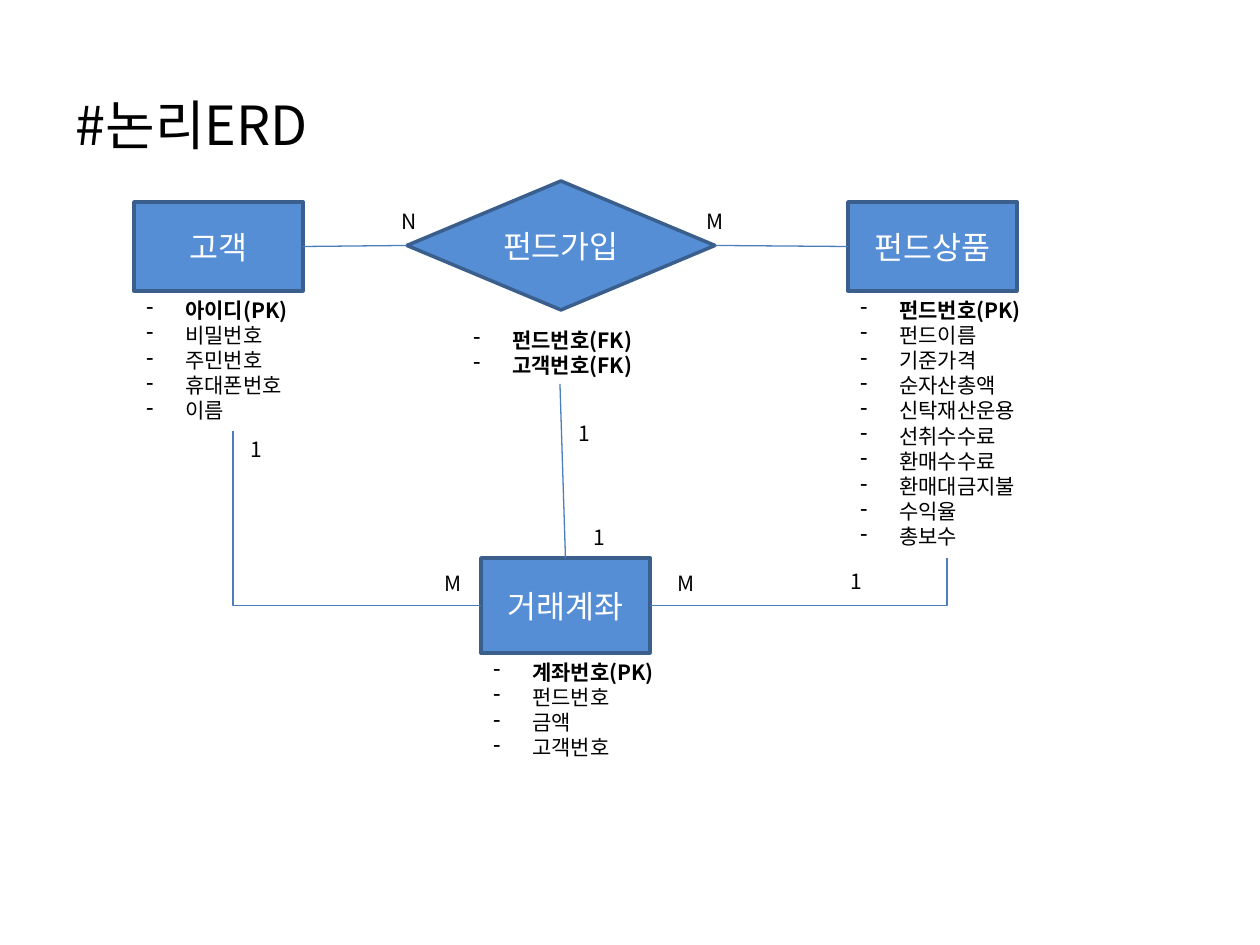
from lxml import etree
from pptx import Presentation
from pptx.dml.color import RGBColor
from pptx.enum.shapes import MSO_CONNECTOR, MSO_SHAPE
from pptx.enum.text import MSO_ANCHOR, MSO_AUTO_SIZE, PP_ALIGN
from pptx.oxml.ns import qn
from pptx.util import Emu, Pt

RECT, DIAMOND = MSO_SHAPE.RECTANGLE, MSO_SHAPE.DIAMOND
STRAIGHT, ELBOW = MSO_CONNECTOR.STRAIGHT, MSO_CONNECTOR.ELBOW
LEFT, CENTER = PP_ALIGN.LEFT, PP_ALIGN.CENTER
TOP, MIDDLE = MSO_ANCHOR.TOP, MSO_ANCHOR.MIDDLE
FIT, FIXED = MSO_AUTO_SIZE.SHAPE_TO_FIT_TEXT, MSO_AUTO_SIZE.NONE
SITE_TOP, SITE_LEFT, SITE_BOTTOM, SITE_RIGHT = range(4)

FONT = "Noto Sans CJK KR"
COLORS = {"fill": "558ED5", "border": "3A5F8C", "link": "4B7EBC",
          "text": "000000", "node_text": "FFFFFF"}
PX = 914400 // 126
LIST_WIDTH, INDENT = 198, 39
LABEL_SIZE = (42, 38)

# Content: name, shape, node box, list position and height, keys, other attributes
TITLE = "#논리ERD"
ENTITIES = [
    ("고객", RECT, (134, 202, 169, 89), (134, 291, 140),
     ["아이디(PK)"], ["비밀번호", "주민번호", "휴대폰번호", "이름"]),
    ("펀드가입", DIAMOND, (407, 181, 308, 129), (461, 321, 63),
     ["펀드번호(FK)", "고객번호(FK)"], []),
    ("펀드상품", RECT, (848, 202, 169, 89), (848, 291, 267),
     ["펀드번호(PK)"],
     ["펀드이름", "기준가격", "순자산총액", "신탁재산운용", "선취수수료",
      "환매수수료", "환매대금지불", "수익율", "총보수"]),
    ("거래계좌", RECT, (481, 558, 169, 95), (481, 653, 115),
     ["계좌번호(PK)"], ["펀드번호", "금액", "고객번호"]),
]
# Links: kind, (entity, part, site) at each end
LINKS = [
    (STRAIGHT, ("고객", "node", SITE_RIGHT), ("펀드가입", "node", SITE_LEFT)),
    (STRAIGHT, ("펀드가입", "node", SITE_RIGHT), ("펀드상품", "node", SITE_LEFT)),
    (STRAIGHT, ("펀드가입", "list", SITE_BOTTOM), ("거래계좌", "node", SITE_TOP)),
    (ELBOW, ("거래계좌", "node", SITE_LEFT), ("고객", "list", SITE_BOTTOM)),
    (ELBOW, ("거래계좌", "node", SITE_RIGHT), ("펀드상품", "list", SITE_BOTTOM)),
]
CARDINALITIES = [
    ("N", 389, 202), ("M", 694, 202), ("1", 838, 562), ("M", 665, 564),
    ("1", 581, 518), ("1", 238, 430), ("M", 432, 564), ("1", 566, 414),
]


def px(*lengths):
    return [Emu(length * PX) for length in lengths]


def rgb(name):
    return RGBColor.from_string(COLORS[name])


def write(shape, lines, size=12, color="text", align=LEFT, anchor=TOP,
          fit=FIXED, bold_lines=0, dashes=False):
    frame = shape.text_frame
    frame.word_wrap, frame.auto_size, frame.vertical_anchor = True, fit, anchor
    for i, line in enumerate(lines):
        paragraph = frame.add_paragraph() if i else frame.paragraphs[0]
        paragraph.alignment = align
        run = paragraph.add_run()
        run.text = line
        run.font.name, run.font.size = FONT, Pt(size)
        run.font.bold = i < bold_lines
        run.font.color.rgb = rgb(color)
        etree.SubElement(run.font._element, qn("a:ea"), typeface=FONT)
        if dashes:
            props = paragraph._p.get_or_add_pPr()
            props.set("marL", str(INDENT * PX))
            props.set("indent", str(-INDENT * PX))
            etree.SubElement(props, qn("a:buChar"), char="-")


def site_point(shape, site):
    across = {SITE_LEFT: 0, SITE_RIGHT: shape.width}.get(site, shape.width // 2)
    down = {SITE_TOP: 0, SITE_BOTTOM: shape.height}.get(site, shape.height // 2)
    return shape.left + across, shape.top + down


prs = Presentation()
prs.slide_width, prs.slide_height = px(1260, 945)
slide = prs.slides.add_slide(prs.slide_layouts[5])
shapes = slide.shapes

# Title, set low in its box
title = shapes.title
title.left, title.top, title.width, title.height = px(63, 38, 1134, 117)
title.text_frame.margin_top = px(54)[0]
write(title, [TITLE], size=30.8)

# Entities with their attribute lists
parts = {}
for name, kind, box, (left, top, height), keys, others in ENTITIES:
    node = shapes.add_shape(kind, *px(*box))
    node.shadow.inherit = False
    node.fill.solid()
    node.fill.fore_color.rgb = rgb("fill")
    node.line.color.rgb = rgb("border")
    node.line.width = Pt(2)
    write(node, [name], size=18, color="node_text", align=CENTER, anchor=MIDDLE)

    attributes = shapes.add_textbox(*px(left, top, LIST_WIDTH, height))
    write(attributes, keys + others, fit=FIT, bold_lines=len(keys), dashes=True)
    parts[name, "node"], parts[name, "list"] = node, attributes

# Links
for kind, (*start, start_site), (*end, end_site) in LINKS:
    start_part, end_part = parts[tuple(start)], parts[tuple(end)]
    link = shapes.add_connector(kind, *site_point(start_part, start_site),
                                *site_point(end_part, end_site))
    link.begin_connect(start_part, start_site)
    link.end_connect(end_part, end_site)
    link.line.color.rgb = rgb("link")
    link.line.width = Pt(0.75)
    properties = link._element.spPr
    etree.SubElement(properties, qn("a:effectLst"))
    if kind == ELBOW:  # one bend only
        properties.find(qn("a:prstGeom")).set("prst", "bentConnector2")

# Cardinalities
for mark, left, top in CARDINALITIES:
    write(shapes.add_textbox(*px(left, top, *LABEL_SIZE)), [mark], fit=FIT)

prs.save("out.pptx")
